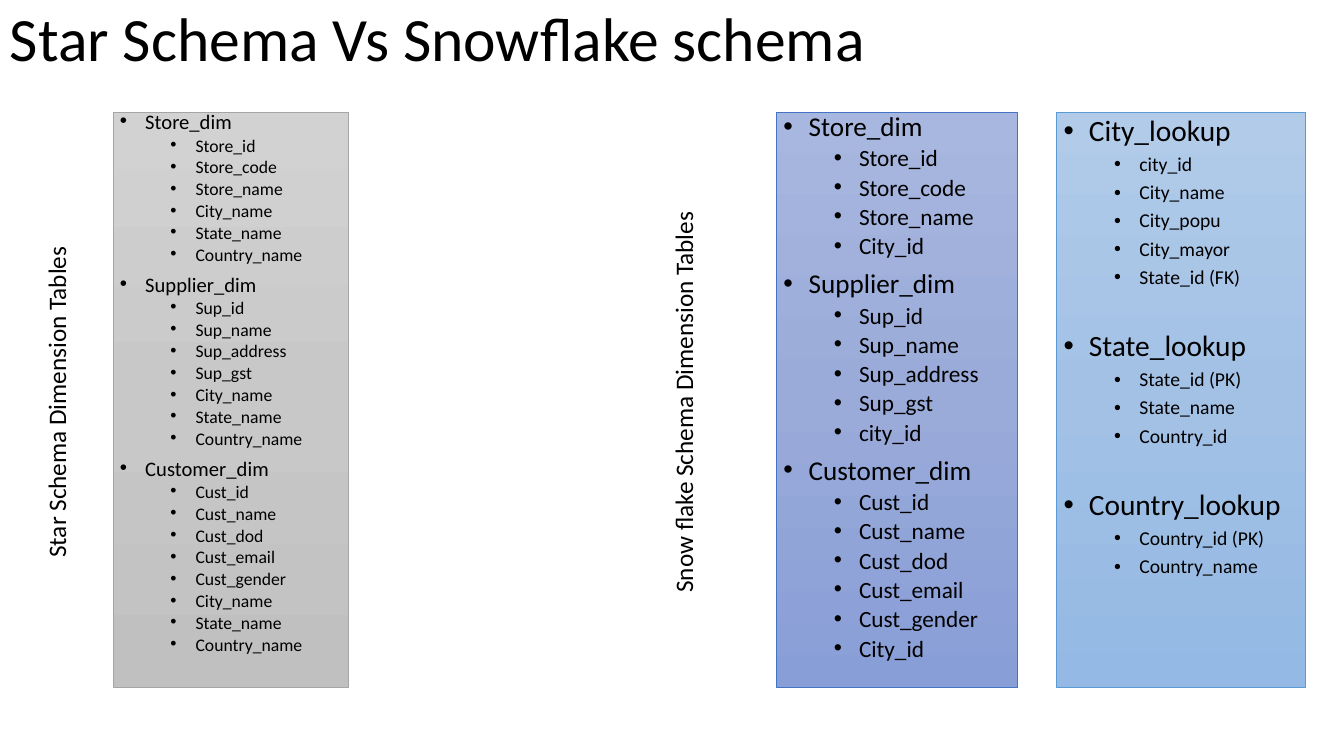
import copy

import lxml.etree
import pptx
import pptx.dml.color
import pptx.enum.shapes
import pptx.enum.text
import pptx.oxml.ns
import pptx.util

Inches, Pt = pptx.util.Inches, pptx.util.Pt
qn = pptx.oxml.ns.qn
FONT = "Calibri"
COLORS = {
    "text": "000000",
    "star": ["D2D2D2", "C8C8C8", "C0C0C0"],
    "star_line": "A5A5A5",
    "snowflake": ["A8B7DF", "9AABD9", "889ED7"],
    "snowflake_line": "4472C4",
    "lookup": ["B1CBE9", "A3C1E5", "93B9E4"],
    "lookup_line": "5B9BD5",
}
PANEL_TOP, PANEL_HEIGHT = 1.11, 5.71

STAR_TABLES = {
    "Store_dim": ["Store_id", "Store_code", "Store_name",
                  "City_name", "State_name", "Country_name"],
    "Supplier_dim": ["Sup_id", "Sup_name", "Sup_address", "Sup_gst",
                     "City_name", "State_name", "Country_name"],
    "Customer_dim": ["Cust_id", "Cust_name", "Cust_dod", "Cust_email", "Cust_gender",
                     "City_name", "State_name", "Country_name"],
}
SNOWFLAKE_TABLES = {
    "Store_dim": ["Store_id", "Store_code", "Store_name", "City_id"],
    "Supplier_dim": ["Sup_id", "Sup_name", "Sup_address", "Sup_gst", "city_id"],
    "Customer_dim": ["Cust_id", "Cust_name", "Cust_dod", "Cust_email", "Cust_gender", "City_id"],
}
LOOKUP_TABLES = {
    "City_lookup": ["city_id", "City_name", "City_popu", "City_mayor", "State_id (FK)"],
    "State_lookup": ["State_id (PK)", "State_name", "Country_id"],
    "Country_lookup": ["Country_id (PK)", "Country_name"],
}


def rgb(value):
    """Turn a hex string into a colour."""
    return pptx.dml.color.RGBColor.from_string(value)


def add_run(p, text, size):
    """Add one run in the slide's font."""
    r = p.add_run()
    r.text = text
    r.font.name, r.font.size = FONT, Pt(size)
    r.font.color.rgb = rgb(COLORS["text"])


def add_label(s, box, text, size, align, rotation=0):
    """Place one line of text, turned if asked, in the given box."""
    sp = s.shapes.add_textbox(*map(Inches, box))
    sp.rotation = rotation
    tf = sp.text_frame
    tf.word_wrap = True
    tf.vertical_anchor = pptx.enum.text.MSO_ANCHOR.MIDDLE
    p = tf.paragraphs[0]
    p.alignment = align
    add_run(p, text, size)
    return p


def add_bullet(p, text, level, size, line_spacing, space_before):
    """Write a bulleted paragraph at the given level."""
    p.level = level
    pPr = p._p.get_or_add_pPr()
    pPr.set("marL", str(Inches(0.25 + 0.5 * level)))
    pPr.set("indent", str(-Inches(0.25)))
    lxml.etree.SubElement(pPr, qn("a:buFont")).set("typeface", "Arial")
    lxml.etree.SubElement(pPr, qn("a:buChar")).set("char", "•")
    p.alignment = pptx.enum.text.PP_ALIGN.LEFT
    p.line_spacing, p.space_before = line_spacing, Pt(space_before)
    add_run(p, text, size)


def fill_gradient(sp, colors):
    """Fill a shape from top to bottom with three evenly spaced colours."""
    sp.fill.gradient()
    sp.fill.gradient_angle = 270
    stops = sp._element.spPr.find(".//" + qn("a:gsLst"))
    stops.insert(1, copy.deepcopy(stops[0]))
    for i, (stop, color) in enumerate(zip(sp.fill.gradient_stops, colors)):
        stop.position = i / 2
        stop.color.rgb = rgb(color)


def add_panel(s, left, width, kind, tables, sizes, line_spacing, table_gap=10):
    """Draw a panel that lists tables and their columns."""
    sp = s.shapes.add_shape(pptx.enum.shapes.MSO_SHAPE.RECTANGLE, Inches(left),
                            Inches(PANEL_TOP), Inches(width), Inches(PANEL_HEIGHT))
    sp.shadow.inherit = False
    fill_gradient(sp, COLORS[kind])
    sp.line.color.rgb, sp.line.width = rgb(COLORS[kind + "_line"]), Pt(0.5)
    tf = sp.text_frame
    tf.word_wrap = True
    tf.vertical_anchor = pptx.enum.text.MSO_ANCHOR.TOP
    tf.margin_left = tf.margin_right = Inches(0.07)
    tf.margin_top = tf.margin_bottom = Inches(0.04)
    for i, (table, columns) in enumerate(tables.items()):
        p = tf.add_paragraph() if i else tf.paragraphs[0]
        add_bullet(p, table, 0, sizes[0], line_spacing, table_gap if i else 0)
        for column in columns:
            add_bullet(tf.add_paragraph(), column, 1, sizes[1], line_spacing, 5)


def build_comparison(prs):
    """Build the slide that compares the two schemas."""
    s = prs.slides.add_slide(prs.slide_layouts[6])
    align = pptx.enum.text.PP_ALIGN
    title = add_label(s, (0, 0, 13.33, 0.82), "Star Schema Vs Snowflake schema", 44, align.LEFT)
    title.line_spacing = 0.9
    add_panel(s, 10.48, 2.47, "lookup", LOOKUP_TABLES, (21, 14), 0.9, table_gap=30.4)
    add_panel(s, 1.12, 2.34, "star", STAR_TABLES, (14.7, 12.6), 0.7)
    add_panel(s, 7.7, 2.39, "snowflake", SNOWFLAKE_TABLES, (19.4, 16.6), 0.8)
    for left, name in ((-2.12, "Star"), (4.1, "Snow flake")):
        add_label(s, (left, 3.79, 5.35, 0.4), name + " Schema Dimension Tables",
                  18, align.CENTER, rotation=270)


def main():
    """Create and save the presentation."""
    prs = pptx.Presentation()
    prs.slide_width, prs.slide_height = Inches(13.33), Inches(7.5)
    build_comparison(prs)
    prs.save("out.pptx")


if __name__ == "__main__":
    main()
